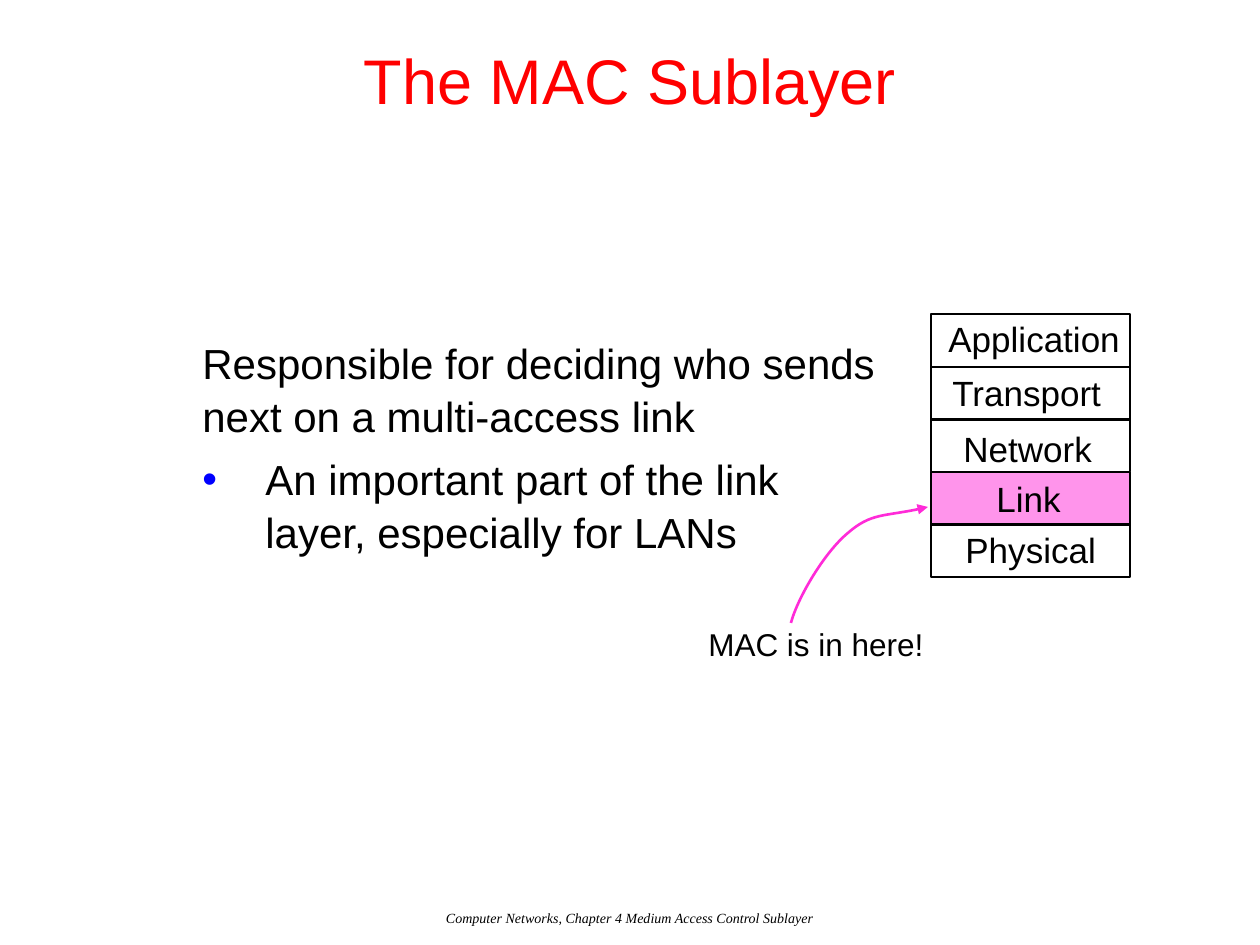
import pptx
import pptx.util
import pptx.dml.color
import pptx.enum.shapes
import pptx.enum.text
import pptx.oxml
from pptx.oxml.ns import qn
from lxml import etree

PX = 914400 // 126
ALIGN = pptx.enum.text.PP_ALIGN
ANCHOR = pptx.enum.text.MSO_ANCHOR


def rgb(h):
    return pptx.dml.color.RGBColor.from_string(h)


def text(x, y, w, h, paras, size, color="000000", align=ALIGN.LEFT,
         wrap=True, anchor=ANCHOR.TOP, **font):
    sp = s.shapes.add_textbox(x * PX, y * PX, w * PX, h * PX)
    tf = sp.text_frame
    for key, value in {"word_wrap": wrap, "vertical_anchor": anchor}.items():
        setattr(tf, key, value)
    for i, line in enumerate(paras):
        p = tf.paragraphs[0] if i == 0 else tf.add_paragraph()
        p.alignment = align
        r = p.add_run()
        r.text = line
        r.font.color.rgb = rgb(color)
        fmt = {"name": "Arial", "size": pptx.util.Pt(size), **font}
        for key, value in fmt.items():
            setattr(r.font, key, value)
    return sp


prs = pptx.Presentation()
prs.slide_width, prs.slide_height = 1260 * PX, 945 * PX
s = prs.slides.add_slide(prs.slide_layouts[6])

# Title
text(0, 0, 1260, 158, ["The MAC Sublayer"], 36, "FF0000", ALIGN.CENTER,
     anchor=ANCHOR.MIDDLE)

# Body with one bullet
sp = text(190, 329, 699, 554,
          ["Responsible for deciding who sends next on a multi-access link",
           "An important part of the link layer, especially for LANs"], 24)
for p in sp.text_frame.paragraphs:
    p.line_spacing = 1.05
p.space_before = pptx.util.Pt(6)
pPr = p._p.get_or_add_pPr()
pPr.set("marL", str(63 * PX))
pPr.set("indent", str(-63 * PX))
buClr = etree.SubElement(pPr, qn("a:buClr"))
etree.SubElement(buClr, qn("a:srgbClr"), val="0000FF")
etree.SubElement(pPr, qn("a:buFont"), typeface="Arial")
etree.SubElement(pPr, qn("a:buChar"), char="•")

# Protocol stack: name, label left, top, width
layers = [("Application", 936, 311, 197), ("Transport", 940, 365, 175),
          ("Network", 951, 421, 154), ("Link", 984, 471, 91),
          ("Physical", 953, 522, 156)]
for i, (name, x, y, w) in enumerate(layers):
    sp = s.shapes.add_shape(pptx.enum.shapes.MSO_SHAPE.RECTANGLE,
                            931 * PX, (314 + round(i * 52.6)) * PX,
                            199 * PX, 53 * PX)
    sp.shadow.inherit = False
    sp.line.color.rgb = rgb("000000")
    sp.line.width = pptx.util.Pt(0.75)
    if name == "Link":
        sp.fill.solid()
        sp.fill.fore_color.rgb = rgb("FF2BD8")
        clr = sp._element.spPr.find(".//" + qn("a:srgbClr"))
        etree.SubElement(clr, qn("a:alpha"), val="50000")
    else:
        sp.fill.background()
for name, x, y, w in layers:
    text(x, y, w, 54, [name], 20, wrap=False)

# Callout
sp = text(696, 619, 251, 50, ["MAC is in here!"], 18)
sp.fill.solid()
sp.fill.fore_color.rgb = rgb("FFFFFF")

# Curved arrow: start, then two cubic segments of three points each
points = [(791, 623), (798, 597), (825, 552), (848, 533),
          (871, 513), (887, 517), (928, 507)]
fb = s.shapes.build_freeform(*points[0], scale=PX)
fb.add_line_segments(points[1:], close=False)
sp = fb.convert_to_shape()
sp.shadow.inherit = False
sp.fill.background()
sp.line.color.rgb = rgb("FF2BD8")
sp.line.width = pptx.util.Pt(1.5)
etree.SubElement(sp.line._get_or_add_ln(), qn("a:tailEnd"), type="triangle")
outline = sp._element.spPr.find(".//" + qn("a:pathLst"))[0]
segments = outline.findall(qn("a:lnTo"))
for i in range(0, len(segments), 3):
    curve = etree.SubElement(outline, qn("a:cubicBezTo"))
    for seg in segments[i:i + 3]:
        curve.append(seg[0])
        outline.remove(seg)

# Footer
text(0, 903, 1260, 42,
     ["Computer Networks, Chapter 4 Medium Access Control Sublayer"], 8,
     align=ALIGN.CENTER, name="Times New Roman", italic=True)

prs.save("out.pptx")
